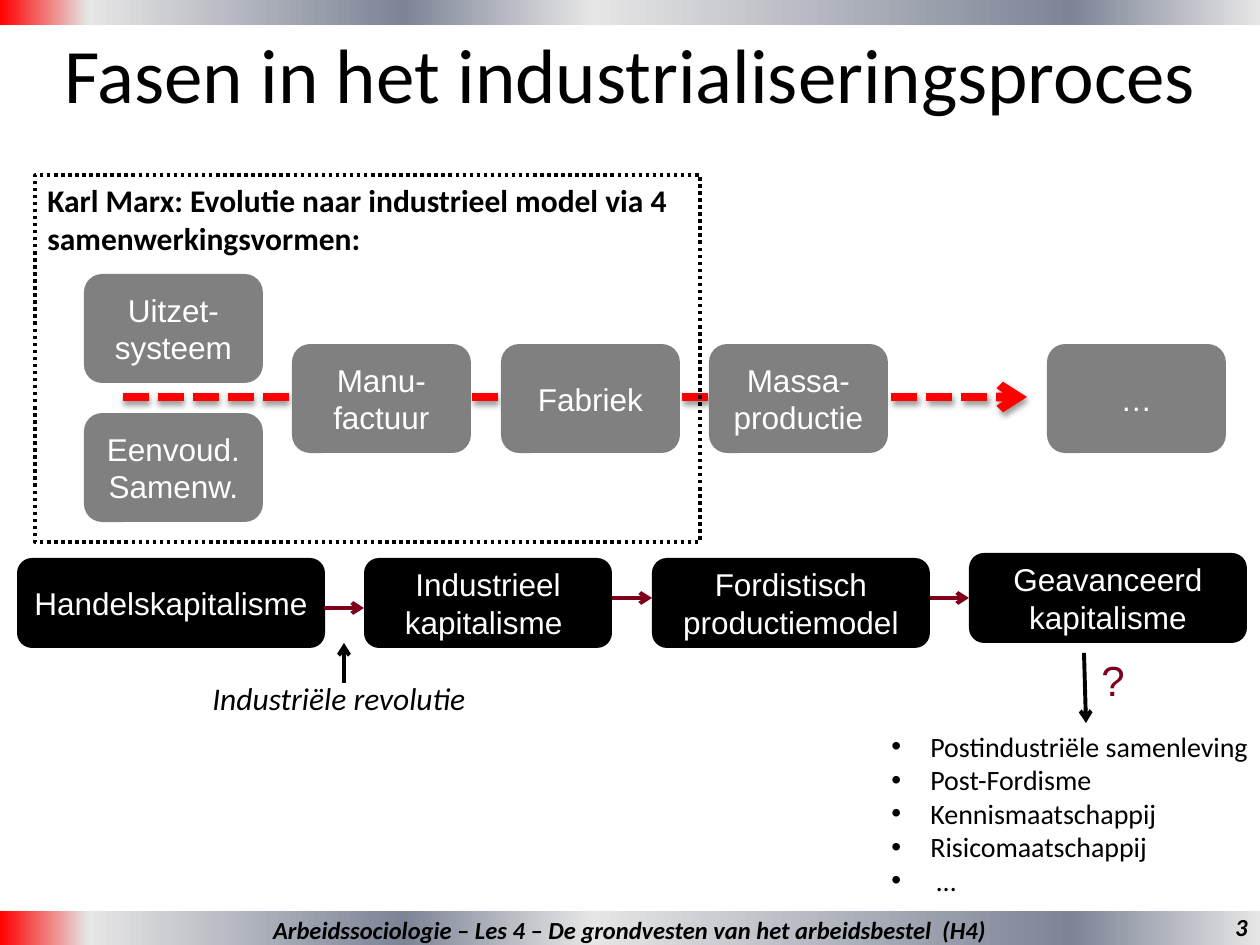
from dataclasses import dataclass

from lxml import etree
from pptx import Presentation
from pptx.dml.color import RGBColor
from pptx.enum.dml import MSO_LINE
from pptx.enum.shapes import MSO_CONNECTOR, MSO_SHAPE
from pptx.enum.text import MSO_ANCHOR, PP_ALIGN
from pptx.oxml.ns import qn
from pptx.util import Emu, Pt

RECT, ROUNDED = MSO_SHAPE.RECTANGLE, MSO_SHAPE.ROUNDED_RECTANGLE
STRAIGHT = MSO_CONNECTOR.STRAIGHT
DASHED, DOTTED = MSO_LINE.SQUARE_DOT, MSO_LINE.ROUND_DOT
LEFT, CENTER, RIGHT = PP_ALIGN.LEFT, PP_ALIGN.CENTER, PP_ALIGN.RIGHT
TOP, MIDDLE = MSO_ANCHOR.TOP, MSO_ANCHOR.MIDDLE
EMU_PER_PX = 914400 / 126


@dataclass(frozen=True)
class Theme:
    body: str = "Calibri"
    block: str = "Arial"
    black: str = "000000"
    white: str = "FFFFFF"
    grey: str = "808080"
    red: str = "FF0000"
    maroon: str = "7E001A"
    band: tuple = ((0, "FF0000"), (7, "E6E6E6"), (32, "7D8496"),
                   (47, "E6E6E6"), (85, "7D8496"), (100, "E6E6E6"))
    title_size: int = 44
    question_size: int = 24
    text_size: int = 18
    list_size: int = 16
    footer_size: int = 14


THEME = Theme()


@dataclass(frozen=True)
class Box:
    x: int
    y: int
    w: int
    h: int


@dataclass(frozen=True)
class Style:
    size: int = THEME.text_size
    font: str = THEME.body
    color: str = THEME.black
    bold: bool = False
    italic: bool = False


@dataclass(frozen=True)
class Block:
    text: str
    box: Box
    fill: str


@dataclass(frozen=True)
class Arrow:
    start: tuple[int, int]
    end: tuple[int, int]
    color: str
    width: float = 2.25


def px(value: int) -> Emu:
    return Emu(round(value * EMU_PER_PX))


def place(box: Box) -> tuple:
    return px(box.x), px(box.y), px(box.w), px(box.h)


def write(frame, text: str, style: Style, align=LEFT, anchor=TOP, wrap=True) -> None:
    frame.word_wrap = wrap
    frame.vertical_anchor = anchor
    frame.paragraphs[0].alignment = align
    add_run(frame.paragraphs[0], text, style)


def add_run(paragraph, text: str, style: Style) -> None:
    run = paragraph.add_run()
    run.text = text
    font = run.font
    font.name, font.size = style.font, Pt(style.size)
    font.bold, font.italic = style.bold, style.italic
    font.color.rgb = RGBColor.from_string(style.color)


def add_text(slide, box: Box, text: str, style: Style, **layout) -> None:
    write(slide.shapes.add_textbox(*place(box)).text_frame, text, style, **layout)


def add_band(slide, box: Box):
    band = slide.shapes.add_shape(RECT, *place(box))
    band.shadow.inherit = False
    band.line.fill.background()
    band.fill.gradient()
    band.fill.gradient_angle = 0
    stops = band._element.spPr.find(".//" + qn("a:gsLst"))
    for stop in list(stops):
        stops.remove(stop)
    for percent, color in THEME.band:
        stop = etree.SubElement(stops, qn("a:gs"), pos=str(percent * 1000))
        etree.SubElement(stop, qn("a:srgbClr"), val=color)
    return band


def add_block(slide, block: Block) -> None:
    shape = slide.shapes.add_shape(ROUNDED, *place(block.box))
    shape.shadow.inherit = False
    shape.fill.solid()
    shape.fill.fore_color.rgb = RGBColor.from_string(block.fill)
    shape.line.fill.background()
    write(shape.text_frame, block.text, Style(font=THEME.block, color=THEME.white),
          align=CENTER, anchor=MIDDLE)


def add_arrow(slide, arrow: Arrow, dash=None):
    line = slide.shapes.add_connector(STRAIGHT, *map(px, arrow.start + arrow.end))
    line.line.color.rgb = RGBColor.from_string(arrow.color)
    line.line.width = Pt(arrow.width)
    if dash is not None:
        line.line.dash_style = dash
    properties = line._element.spPr
    etree.SubElement(properties.find(qn("a:ln")), qn("a:tailEnd"), type="arrow")
    return etree.SubElement(properties, qn("a:effectLst"))


def add_bullets(slide, box: Box, items: list[str], style: Style, indent: int) -> None:
    frame = slide.shapes.add_textbox(*place(box)).text_frame
    frame.word_wrap = True
    for index, item in enumerate(items):
        paragraph = frame.add_paragraph() if index else frame.paragraphs[0]
        properties = paragraph._p.get_or_add_pPr()
        properties.set("marL", str(px(indent)))
        properties.set("indent", str(-px(indent)))
        etree.SubElement(properties, qn("a:buFont"), typeface=THEME.block)
        etree.SubElement(properties, qn("a:buChar"), char="•")
        add_run(paragraph, item, style)


def main() -> None:
    deck = Presentation()
    deck.slide_width, deck.slide_height = px(1260), px(945)
    slide = deck.slides.add_slide(deck.slide_layouts[5])

    # Footer band and process line behind the blocks
    footer_style = Style(THEME.footer_size, bold=True, italic=True)
    footer = add_band(slide, Box(0, 911, 1260, 37))
    write(footer.text_frame,
          "Arbeidssociologie – Les 4 – De grondvesten van het arbeidsbestel  (H4)",
          footer_style, align=CENTER, anchor=MIDDLE)
    process = Arrow((123, 397), (1027, 397), THEME.red, 5)
    effects = add_arrow(slide, process, DASHED)
    shadow = etree.SubElement(effects, qn("a:outerShdw"), blurRad=str(Pt(3.1)),
                              dist=str(Pt(1.6)), dir="5400000", rotWithShape="0")
    shade = etree.SubElement(shadow, qn("a:srgbClr"), val=THEME.black)
    etree.SubElement(shade, qn("a:alpha"), val="38000")

    # Title, page number and top band
    title = slide.shapes.title
    title.left, title.top, title.width, title.height = place(Box(25, 0, 1211, 145))
    write(title.text_frame, "Fasen in het industrialiseringsproces",
          Style(THEME.title_size), align=CENTER, anchor=MIDDLE)
    add_text(slide, Box(903, 908, 357, 37), "3", footer_style, align=RIGHT, anchor=MIDDLE)
    add_band(slide, Box(0, 0, 1260, 25))

    # Stages of capitalism
    for text, x, y, width in (("Handelskapitalisme ", 17, 558, 308),
                              ("Industrieel kapitalisme ", 364, 558, 248),
                              ("Fordistisch productiemodel", 652, 558, 278),
                              ("Geavanceerd kapitalisme", 969, 553, 278)):
        add_block(slide, Block(text, Box(x, y, width, 90), THEME.black))
    for start, end, y in ((324, 364, 608), (612, 652, 598), (930, 969, 598)):
        add_arrow(slide, Arrow((start, y), (end, y), THEME.maroon))

    # Industrial revolution and what comes next
    add_text(slide, Box(200, 673, 292, 50), "Industriële revolutie",
             Style(italic=True), wrap=False)
    add_arrow(slide, Arrow((344, 683), (344, 643), THEME.black))
    add_bullets(slide, Box(879, 723, 412, 186),
                ["Postindustriële samenleving", "Post-Fordisme", "Kennismaatschappij",
                 "Risicomaatschappij", " …"], Style(THEME.list_size), indent=39)
    add_arrow(slide, Arrow((1084, 653), (1086, 723), THEME.black))
    add_text(slide, Box(1089, 648, 39, 63), "?",
             Style(THEME.question_size, THEME.block, THEME.maroon))

    # Forms of cooperation
    for text, x, y in (("Uitzet-systeem", 84, 274), ("Eenvoud. Samenw.", 84, 413),
                       ("Manu-factuur", 292, 344), ("Fabriek", 501, 344),
                       ("Massa-productie", 709, 344), ("…", 1047, 344)):
        add_block(slide, Block(text, Box(x, y, 179, 109), THEME.grey))

    # Dotted frame around Marx's four forms
    frame = slide.shapes.add_shape(RECT, *place(Box(35, 175, 665, 367)))
    frame.shadow.inherit = False
    frame.fill.background()
    frame.line.color.rgb = RGBColor.from_string(THEME.black)
    frame.line.width = Pt(2)
    frame.line.dash_style = DOTTED
    write(frame.text_frame,
          "Karl Marx: Evolutie naar industrieel model via 4 samenwerkingsvormen:",
          Style(bold=True))

    deck.save("out.pptx")


if __name__ == "__main__":
    main()
